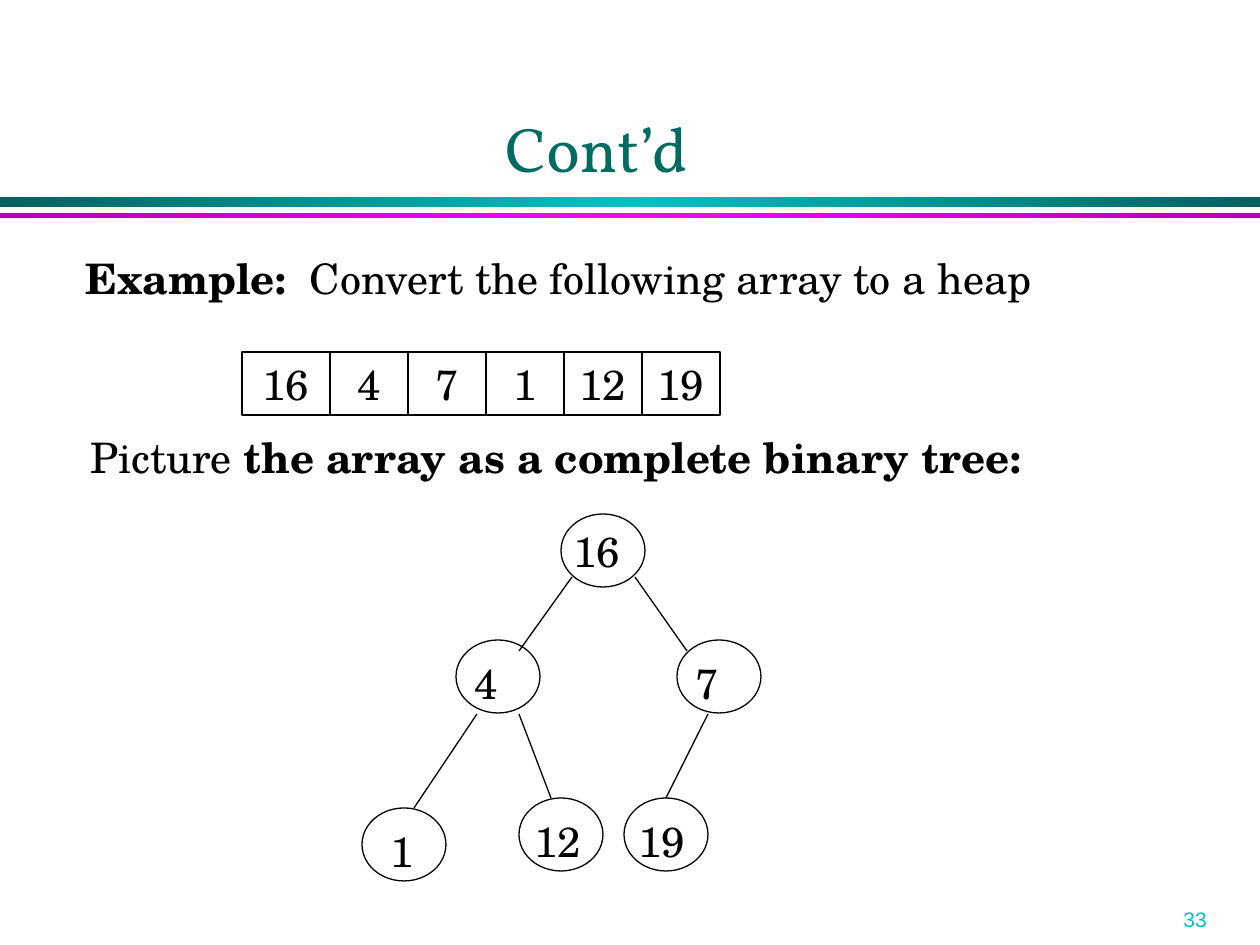
"""Build a slide that pictures an array as a complete binary tree."""
from copy import deepcopy

from lxml import etree
from pptx import Presentation
from pptx.dml.color import RGBColor
from pptx.enum.shapes import MSO_CONNECTOR, MSO_SHAPE
from pptx.enum.text import MSO_ANCHOR, MSO_AUTO_SIZE, PP_ALIGN
from pptx.oxml.ns import qn
from pptx.util import Emu, Pt

LEFT, CENTER = PP_ALIGN.LEFT, PP_ALIGN.CENTER
TOP, BOTTOM = MSO_ANCHOR.TOP, MSO_ANCHOR.BOTTOM
RECTANGLE, OVAL = MSO_SHAPE.RECTANGLE, MSO_SHAPE.OVAL
STRAIGHT = MSO_CONNECTOR.STRAIGHT
NO_AUTO_SIZE = MSO_AUTO_SIZE.NONE

BLACK = RGBColor(0x00, 0x00, 0x00)
TITLE_GREEN = RGBColor(0x00, 0x6B, 0x61)
DARK_TEAL = RGBColor(0x00, 0x60, 0x60)
TEAL = RGBColor(0x00, 0xC0, 0xC0)
DARK_MAGENTA = RGBColor(0xB2, 0x00, 0xB2)
MAGENTA = RGBColor(0xFF, 0x00, 0xFF)

BODY_FONT, TITLE_FONT, NUMBER_FONT = "TeX Gyre Schola", "Vollkorn", "Arial"

PAGE_SIZE = (1260, 945)
BARS = [(197, 10, DARK_TEAL, TEAL), (213, 5, DARK_MAGENTA, MAGENTA)]
TITLE = ("Cont’d", (82, 86, 1029, 105))
SENTENCES = [
    ((73, 246), [("Example:", True), ("  Convert the following array to a heap", False)]),
    ((78, 425), [("Picture ", False), ("the array as a complete binary tree:", True)]),
]
SENTENCE_SIZE = (1176, 63)
PAGE_NUMBER = ("33", (1171, 900, 121, 38))

ARRAY = ["16", "4", "7", "1", "12", "19"]
ARRAY_LEFT, ARRAY_TOP = 242, 352
FIRST_CELL, CELL, CELL_HEIGHT = 88, 78, 63

NODE_SIZE = (84, 73)
NODES = [
    ("16", (561, 514), (0, 5)),
    ("4", (456, 640), (6, 11)),
    ("7", (677, 640), (6, 11)),
    ("12", (519, 798), (3, 11)),
    ("1", (362, 808), (16, 11)),
    ("19", (624, 798), (2, 11)),
]
LABEL_WIDTHS, LABEL_HEIGHT = {1: 48, 2: 72}, 63
EDGES = [
    (572, 577, 519, 651),
    (477, 714, 414, 808),
    (519, 714, 551, 798),
    (635, 577, 687, 651),
    (708, 714, 666, 798),
]


def px(*lengths):
    return [Emu(round(length * 914400 / 126)) for length in lengths]


def write(box, spans, font=BODY_FONT, size=24, color=BLACK, align=LEFT,
          anchor=TOP, wrap=True):
    frame = box.text_frame
    frame.word_wrap = wrap
    frame.auto_size = NO_AUTO_SIZE
    frame.vertical_anchor = anchor
    para = frame.paragraphs[0]
    para.alignment = align
    for text, bold in spans:
        span = para.add_run()
        span.text = text
        span.font.name = font
        span.font.size = Pt(size)
        span.font.bold = bold
        span.font.color.rgb = color


def add_outline(page, kind, area):
    shape = page.shapes.add_shape(kind, *px(*area))
    shape.shadow.inherit = False
    shape.fill.background()
    shape.line.color.rgb = BLACK
    shape.line.width = Pt(0.75)
    return shape


def add_bar(page, top, height, edge, middle):
    bar = page.shapes.add_shape(RECTANGLE, *px(0, top, PAGE_SIZE[0], height))
    bar.shadow.inherit = False
    bar.line.fill.background()
    bar.fill.gradient()
    bar.fill.gradient_angle = 0
    stop_list = bar._element.xpath(".//a:gsLst")[0]
    stop_list.append(deepcopy(stop_list[0]))
    stops = zip(bar.fill.gradient_stops, (0, 0.5, 1), (edge, middle, edge))
    for stop, position, color in stops:
        stop.position = position
        stop.color.rgb = color


def add_edge(page, ends):
    edge = page.shapes.add_connector(STRAIGHT, *px(*ends))
    edge.line.color.rgb = BLACK
    edge.line.width = Pt(0.75)
    etree.SubElement(edge._element.spPr, qn("a:effectLst"))


def add_array(page):
    left, width = ARRAY_LEFT, FIRST_CELL
    for value in ARRAY:
        cell = add_outline(page, RECTANGLE, (left, ARRAY_TOP, width, CELL_HEIGHT))
        write(cell, [(value, False)], align=CENTER)
        left, width = left + width, CELL


def add_tree(page):
    for value, (left, top), (right_shift, down_shift) in NODES:
        add_outline(page, OVAL, (left, top, *NODE_SIZE))
        label = page.shapes.add_textbox(*px(
            left + right_shift, top + down_shift, LABEL_WIDTHS[len(value)], LABEL_HEIGHT))
        write(label, [(value, False)], wrap=False)
    for ends in EDGES:
        add_edge(page, ends)


def main():
    deck = Presentation()
    deck.slide_width, deck.slide_height = px(*PAGE_SIZE)
    page = deck.slides.add_slide(deck.slide_layouts[6])
    for bar in BARS:
        add_bar(page, *bar)

    text, area = PAGE_NUMBER
    write(page.shapes.add_textbox(*px(*area)), [(text, False)],
          font=NUMBER_FONT, size=12, color=TEAL, wrap=False)
    text, area = TITLE
    write(page.shapes.add_textbox(*px(*area)), [(text, False)],
          font=TITLE_FONT, size=36, color=TITLE_GREEN, align=CENTER, anchor=BOTTOM)
    for place, spans in SENTENCES:
        write(page.shapes.add_textbox(*px(*place, *SENTENCE_SIZE)), spans)

    add_array(page)
    add_tree(page)
    deck.save("out.pptx")


if __name__ == "__main__":
    main()
